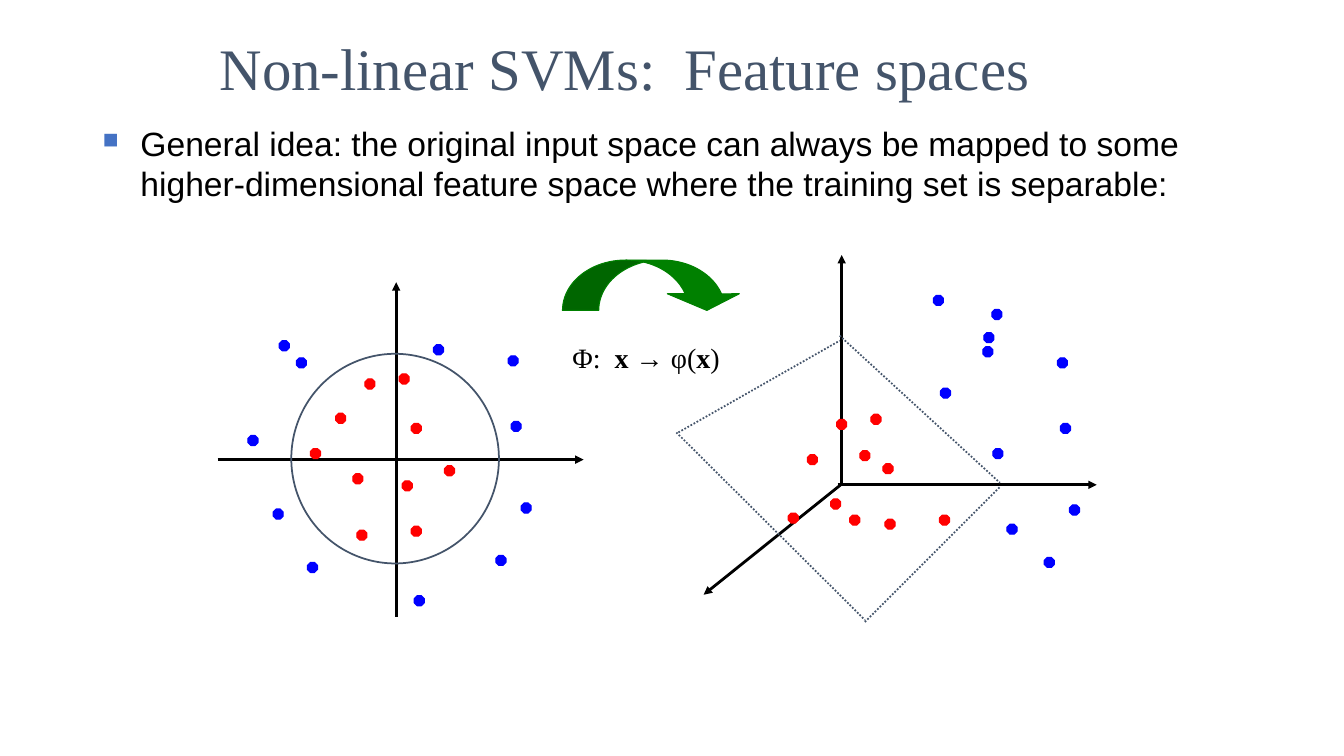
from dataclasses import dataclass

from lxml.etree import SubElement
from pptx import Presentation
from pptx.dml.color import RGBColor
from pptx.enum.dml import MSO_LINE
from pptx.enum.shapes import MSO_CONNECTOR, MSO_SHAPE
from pptx.enum.text import MSO_ANCHOR
from pptx.oxml import parse_xml
from pptx.oxml.ns import nsdecls, qn
from pptx.util import Emu, Inches, Pt

# Grid: square cells of a tenth of an inch; a dot fills one cell
CELL = Inches(0.1)
COLUMNS, ROWS = 133.33, 75
BLACK, SLATE, RED, BLUE, GREEN = "000000", "44546A", "FF0000", "0000FF", "008000"
BULLET_BLUE = "4472C4"
SERIF, SANS = "Times New Roman", "Arial"

Point = tuple[float, float]


@dataclass(frozen=True)
class Box:
    column: float
    row: float
    width: float
    height: float


@dataclass(frozen=True)
class Line:
    start: Point
    end: Point


@dataclass(frozen=True)
class Plot:
    axes: list[Line]
    red_dots: list[Point]
    blue_dots: list[Point]


def cells(count: float) -> Emu:
    return Emu(round(count * CELL))


def color(value: str) -> RGBColor:
    return RGBColor.from_string(value)


def add_line(line: Line, stroke: str, weight: float, is_axis: bool):
    connector = slide.shapes.add_connector(
        MSO_CONNECTOR.STRAIGHT, *(cells(value) for value in line.start + line.end))
    connector.line.color.rgb = color(stroke)
    connector.line.width = Pt(weight)
    if is_axis:
        outline = connector.line._get_or_add_ln()
        SubElement(outline, qn("a:tailEnd"), type="triangle")
    else:
        connector.line.dash_style = MSO_LINE.ROUND_DOT
    SubElement(connector._element.spPr, qn("a:effectLst"))


def add_shape(kind: MSO_SHAPE, box: Box, stroke: str, weight: float = 0.75,
              filled: bool = True):
    shape = slide.shapes.add_shape(kind, cells(box.column), cells(box.row),
                                   cells(box.width), cells(box.height))
    shape.shadow.inherit = False
    shape.line.color.rgb = color(stroke)
    shape.line.width = Pt(weight)
    if filled:
        shape.fill.solid()
        shape.fill.fore_color.rgb = color(stroke)
    else:
        shape.fill.background()
    return shape


def add_text(box: Box, runs: list[tuple[str, bool]], font_name: str, size: int,
             text_color: str, anchor: MSO_ANCHOR = MSO_ANCHOR.TOP):
    text_box = slide.shapes.add_textbox(cells(box.column), cells(box.row),
                                        cells(box.width), cells(box.height))
    frame = text_box.text_frame
    frame.word_wrap = True
    frame.vertical_anchor = anchor
    paragraph = frame.paragraphs[0]
    paragraph.font.name = font_name
    paragraph.font.size = Pt(size)
    paragraph.font.color.rgb = color(text_color)
    for text, bold in runs:
        run = paragraph.add_run()
        run.text = text
        if bold:
            run.font.bold = True
    return paragraph


def add_bullet(paragraph, indent: float):
    properties = paragraph._p.get_or_add_pPr()
    properties.set("marL", str(cells(indent)))
    properties.set("indent", str(-cells(indent)))
    parts = (f'<a:buClr {nsdecls("a")}><a:srgbClr val="{BULLET_BLUE}"/></a:buClr>',
             f'<a:buSzPct {nsdecls("a")} val="65000"/>',
             f'<a:buChar {nsdecls("a")} char="■"/>')
    for position, part in enumerate(parts):
        properties.insert(position, parse_xml(part))


def add_plot(plot: Plot):
    for axis in plot.axes:
        add_line(axis, BLACK, 2, is_axis=True)
    for dots, fill in ((plot.red_dots, RED), (plot.blue_dots, BLUE)):
        for column, row in dots:
            add_shape(MSO_SHAPE.OCTAGON, Box(column, row, 1, 1), fill)


# Both spaces; dots are given by their top left corner
INPUT_SPACE = Plot(
    axes=[Line((39.3, 61.2), (39.3, 28)), Line((21.6, 45.6), (57.9, 45.6))],
    red_dots=[(39.6, 37.1), (33.3, 41), (35, 47), (40.8, 52.2), (36.2, 37.6),
              (30.8, 44.5), (35.4, 52.6), (40.8, 42), (44.1, 46.2), (39.9, 47.7)],
    blue_dots=[(50.7, 41.8), (49.2, 55.1), (24.6, 43.2), (41.1, 59.1),
               (51.7, 49.9), (30.5, 55.8), (27.1, 50.5), (27.7, 33.8),
               (43, 34.2), (29.4, 35.5), (50.4, 35.3)],
)
FEATURE_SPACE = Plot(
    axes=[Line((83.5, 47.9), (83.5, 25.3)), Line((83.1, 48.1), (108.8, 48.1)),
          Line((83.4, 48.1), (69.8, 59))],
    red_dots=[(86.4, 41.1), (80.1, 45.1), (84.3, 51.1), (93.2, 51.1), (83, 41.6),
              (85.3, 44.7), (87.8, 51.5), (87.6, 46), (82.4, 49.5), (78.2, 50.9)],
    blue_dots=[(105.2, 42), (103.6, 55.3), (98.4, 30.7), (98.5, 44.5),
               (106.1, 50.1), (93.3, 38.5), (99.9, 52), (97.6, 33),
               (97.5, 34.4), (92.6, 29.3), (104.9, 35.5)],
)
SEPARATING_PLANE = [
    Line((83.3, 33.3), (99.2, 47.9)), Line((85.8, 61.7), (99.2, 48.3)),
    Line((67.3, 42.9), (83.3, 33.8)), Line((67.1, 42.9), (85.8, 61.5)),
]

presentation = Presentation()
presentation.slide_width = cells(COLUMNS)
presentation.slide_height = cells(ROWS)
slide = presentation.slides.add_slide(presentation.slide_layouts[6])

# Title and statement
add_text(Box(20.8, 2.5, 85, 8.3), [("Non-linear SVMs:  Feature spaces", False)],
         SERIF, 42, SLATE, MSO_ANCHOR.MIDDLE)
statement = add_text(
    Box(9.2, 11.7, 114.2, 55),
    [("General idea: the original input space can always be mapped to some "
      "higher-dimensional feature space where the training set is separable:", False)],
    SANS, 24, BLACK)
add_bullet(statement, 3.75)

# Input space with its circular boundary
add_plot(INPUT_SPACE)
add_shape(MSO_SHAPE.OVAL, Box(28.9, 35.1, 20.6, 20.8), SLATE, 1.25, filled=False)

# Feature space with its separating plane
add_plot(FEATURE_SPACE)
for edge in SEPARATING_PLANE:
    add_line(edge, SLATE, 1.25, is_axis=False)

# Mapping between the spaces
mapping_arrow = add_shape(MSO_SHAPE.CURVED_DOWN_ARROW, Box(55.8, 25.8, 17.9, 5), GREEN)
for index, share in enumerate((0.72, 1.43, 0.33)):
    mapping_arrow.adjustments[index] = share
add_text(Box(55.8, 33.3, 20.8, 4.3),
         [("Φ:  ", False), ("x → ", True), ("φ(", False), ("x", True), (")", False)],
         SERIF, 20, BLACK)

presentation.save("out.pptx")
